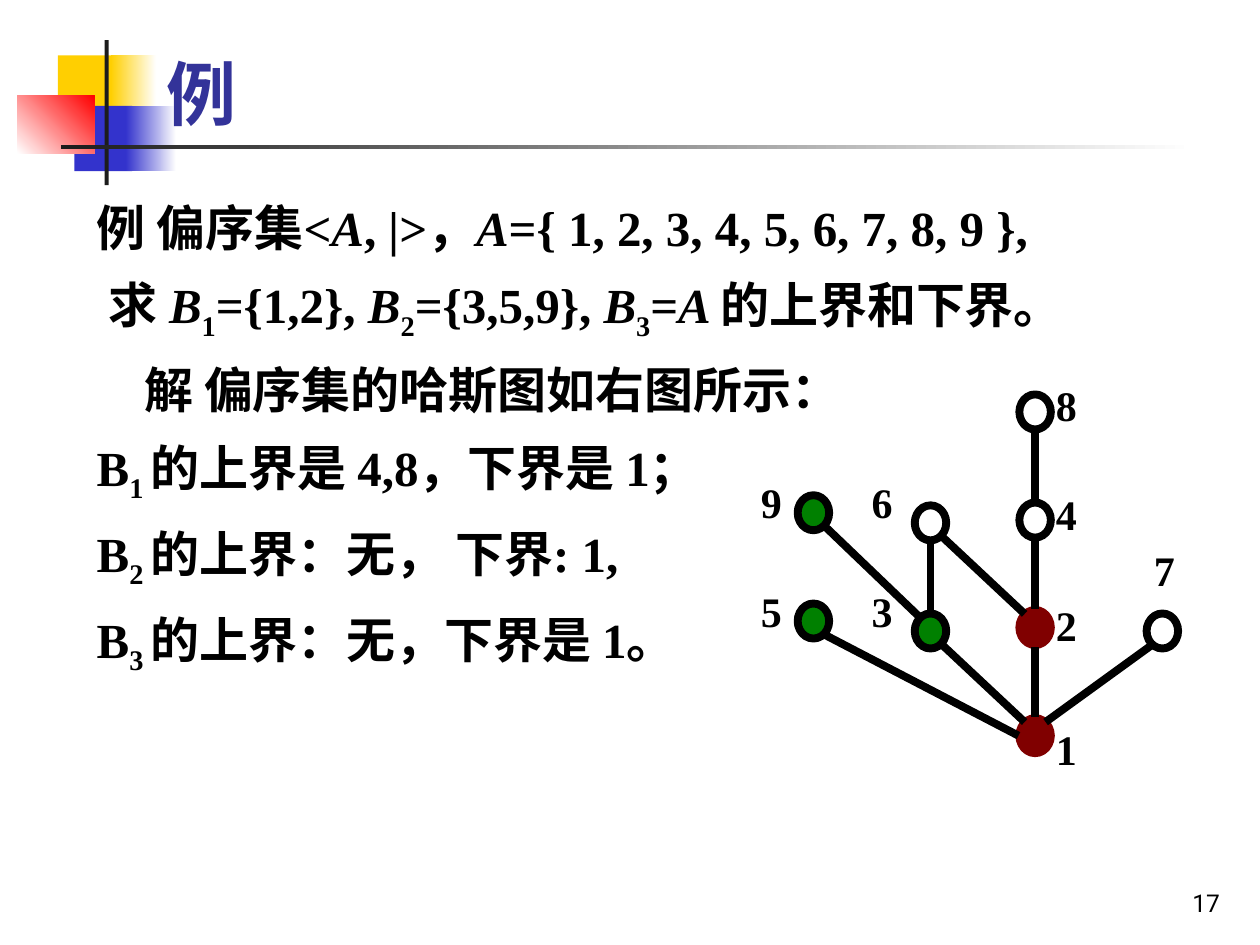
"""Builds a slide on upper and lower bounds of a divisibility order, with its Hasse diagram."""
from typing import NamedTuple, Optional

from lxml.etree import SubElement
from pptx import Presentation
from pptx.dml.color import RGBColor
from pptx.enum.shapes import MSO_CONNECTOR as Connector, MSO_SHAPE as Preset
from pptx.enum.text import MSO_ANCHOR as Anchor, PP_ALIGN as Align
from pptx.oxml.ns import qn
from pptx.util import Pt

SERIF, SANS, HAN = "Times New Roman", "Roboto", "Noto Sans CJK SC"
BLACK, MAROON, GREEN, WHITE = "000000", "800000", "008000", "FFFFFF"
NODE_WIDTH, NODE_HEIGHT, STROKE = 18, 20, 4.5
LABEL_WIDTH, LABEL_HEIGHT = 41.8, 38.9
HANGING = 27


class Band(NamedTuple):
    left: float
    top: float
    width: float
    height: float
    start: str
    end: Optional[str] = None
    angle: float = 0


class Span(NamedTuple):
    text: str
    italic: bool = False
    subscript: bool = False


class Line(NamedTuple):
    spans: list
    first_indent: float = -HANGING


class Node(NamedTuple):
    left: float
    top: float
    label_left: float
    label_top: float
    fill: Optional[str] = None
    outline: str = BLACK


class Edge(NamedTuple):
    lower: str
    lower_site: str
    upper: str
    upper_site: str


SITES = {
    "top": (9, -0.8), "bottom": (9, 21.4), "left": (-0.5, 10),
    "top left": (3, 2.2), "top right": (15, 2.2),
    "bottom left": (3, 18), "bottom right": (15.8, 18),
}

BANDS = [
    Band(33.1, 31.7, 34.6, 37.4, "FFCF01"),
    Band(63.4, 31.7, 25.9, 37.4, "FFCF01", WHITE),
    Band(42.5, 60.5, 33.1, 37.4, "3333CC"),
    Band(72, 60.5, 28.8, 37.4, "3333CC", WHITE),
    Band(10, 54.7, 44, 33.1, WHITE, "FF0000", 45),
    Band(59.8, 23, 2.3, 82.8, "1C1C1C"),
    Band(34.6, 82.8, 648, 2.3, "1C1C1C", WHITE),
]

NODES = {
    "8": Node(582.5, 225.4, 596.2, 210.2),
    "4": Node(582.5, 287.2, 596.2, 272.9),
    "2": Node(582.5, 348.6, 596.2, 336.2, MAROON, MAROON),
    "1": Node(582.5, 410.4, 596.2, 406.8, MAROON, MAROON),
    "6": Node(522.7, 288.8, 491, 265.7),
    "3": Node(522.7, 350.6, 491, 328.3, GREEN),
    "9": Node(455.8, 283, 427.7, 265.7, GREEN),
    "5": Node(455.8, 344.9, 427.7, 328.3, GREEN),
    "7": Node(655.2, 350.6, 652.3, 304.6),
}

EDGES = [
    Edge("1", "top right", "7", "bottom left"),
    Edge("1", "top", "2", "bottom"),
    Edge("2", "top", "4", "bottom"),
    Edge("4", "top", "8", "bottom"),
    Edge("2", "top left", "6", "bottom right"),
    Edge("1", "top left", "3", "bottom right"),
    Edge("3", "top", "6", "bottom"),
    Edge("3", "top left", "9", "bottom right"),
    Edge("1", "left", "5", "bottom right"),
]


def italic(text: str) -> Span:
    return Span(text, italic=True)


def subscript(text: str) -> Span:
    return Span(text, subscript=True)


def bounds(index: str, text: str) -> Line:
    return Line([Span("B"), subscript(f"{index} "), Span(text)])


EXAMPLE = [
    Line([Span("例 偏序集<"), italic("A"), Span(", "), italic("|"), Span(">，"),
          italic("A"), Span("={ 1, 2, 3, 4, 5, 6, 7, 8, 9 },")]),
    Line([Span("求 "), italic("B"), subscript("1"), Span("={1,2}, "),
          italic("B"), subscript("2"), Span("={3,5,9}, "),
          italic("B"), subscript("3"), Span("="), italic("A "),
          Span("的上界和下界。")], -20),
    Line([Span("解 偏序集的哈斯图如右图所示：")], 0),
    bounds("1", "的上界是 4,8，下界是 1；"),
    bounds("2", "的上界：无， 下界: 1,"),
    bounds("3", "的上界：无，下界是 1。"),
]


def color(hex_value: str) -> RGBColor:
    return RGBColor.from_string(hex_value)


def draw_band(slide, band: Band) -> None:
    block = slide.shapes.add_shape(
        Preset.RECTANGLE, Pt(band.left), Pt(band.top), Pt(band.width), Pt(band.height))
    block.shadow.inherit = False
    block.line.fill.background()
    if band.end is None:
        block.fill.solid()
        block.fill.fore_color.rgb = color(band.start)
        return
    block.fill.gradient()
    block.fill.gradient_angle = band.angle
    for stop, shade in zip(block.fill.gradient_stops, (band.start, band.end)):
        stop.color.rgb = color(shade)


def style_run(run, size: float, shade: str = BLACK, bold: bool = True, face: str = SERIF) -> None:
    run.font.size, run.font.bold, run.font.name = Pt(size), bold, face
    run.font.color.rgb = color(shade)
    SubElement(run.font._element, qn("a:ea")).set("typeface", HAN)


def add_frame(slide, left: float, top: float, width: float, height: float, anchor=Anchor.TOP):
    frame = slide.shapes.add_textbox(Pt(left), Pt(top), Pt(width), Pt(height)).text_frame
    frame.word_wrap = True
    frame.vertical_anchor = anchor
    return frame


def write_example(slide, lines: list) -> None:
    frame = add_frame(slide, 48.2, 105.8, 646.6, 284.4)
    for position, line in enumerate(lines):
        paragraph = frame.add_paragraph() if position else frame.paragraphs[0]
        paragraph.line_spacing = 1.1
        if position:
            paragraph.space_before = Pt(7)
        properties = paragraph._p.get_or_add_pPr()
        properties.set("marL", str(Pt(HANGING)))
        properties.set("indent", str(Pt(line.first_indent)))
        for span in line.spans:
            run = paragraph.add_run()
            run.text = span.text
            style_run(run, 28)
            run.font.italic = span.italic
            if span.subscript:
                run.font._element.set("baseline", "-25000")


def draw_node(slide, node: Node) -> None:
    ring = slide.shapes.add_shape(
        Preset.OVAL, Pt(node.left), Pt(node.top), Pt(NODE_WIDTH), Pt(NODE_HEIGHT))
    ring.shadow.inherit = False
    ring.line.color.rgb = color(node.outline)
    ring.line.width = Pt(STROKE)
    if node.fill:
        ring.fill.solid()
        ring.fill.fore_color.rgb = color(node.fill)
    else:
        ring.fill.background()


def draw_edge(slide, edge: Edge) -> None:
    ends = []
    for name, site in ((edge.lower, edge.lower_site), (edge.upper, edge.upper_site)):
        across, down = SITES[site]
        ends += [Pt(NODES[name].left + across), Pt(NODES[name].top + down)]
    link = slide.shapes.add_connector(Connector.STRAIGHT, *ends)
    link.line.color.rgb = color(BLACK)
    link.line.width = Pt(STROKE)
    SubElement(link._element.spPr, qn("a:effectLst"))


def write_text(frame, text: str, size: float, align=Align.LEFT, **style) -> None:
    frame.text = text
    paragraph = frame.paragraphs[0]
    paragraph.alignment = align
    style_run(paragraph.runs[0], size, **style)


def main() -> None:
    deck = Presentation()
    deck.slide_width, deck.slide_height = Pt(720), Pt(540)
    slide = deck.slides.add_slide(deck.slide_layouts[6])
    for band in BANDS:
        draw_band(slide, band)
    page = add_frame(slide, 554.4, 491.8, 149.8, 36, Anchor.BOTTOM)
    write_text(page, "17", 14, Align.RIGHT, bold=False, face=SANS)
    heading = add_frame(slide, 87.8, 20.2, 613.4, 60.5, Anchor.BOTTOM)
    write_text(heading, "例", 40, shade="333399")
    write_example(slide, EXAMPLE)
    for node in NODES.values():
        draw_node(slide, node)
    for edge in EDGES:
        draw_edge(slide, edge)
    for number, node in NODES.items():
        label = add_frame(slide, node.label_left, node.label_top, LABEL_WIDTH, LABEL_HEIGHT)
        write_text(label, number, 24)
        label.paragraphs[0].line_spacing = 1.1
    deck.save("out.pptx")


if __name__ == "__main__":
    main()
